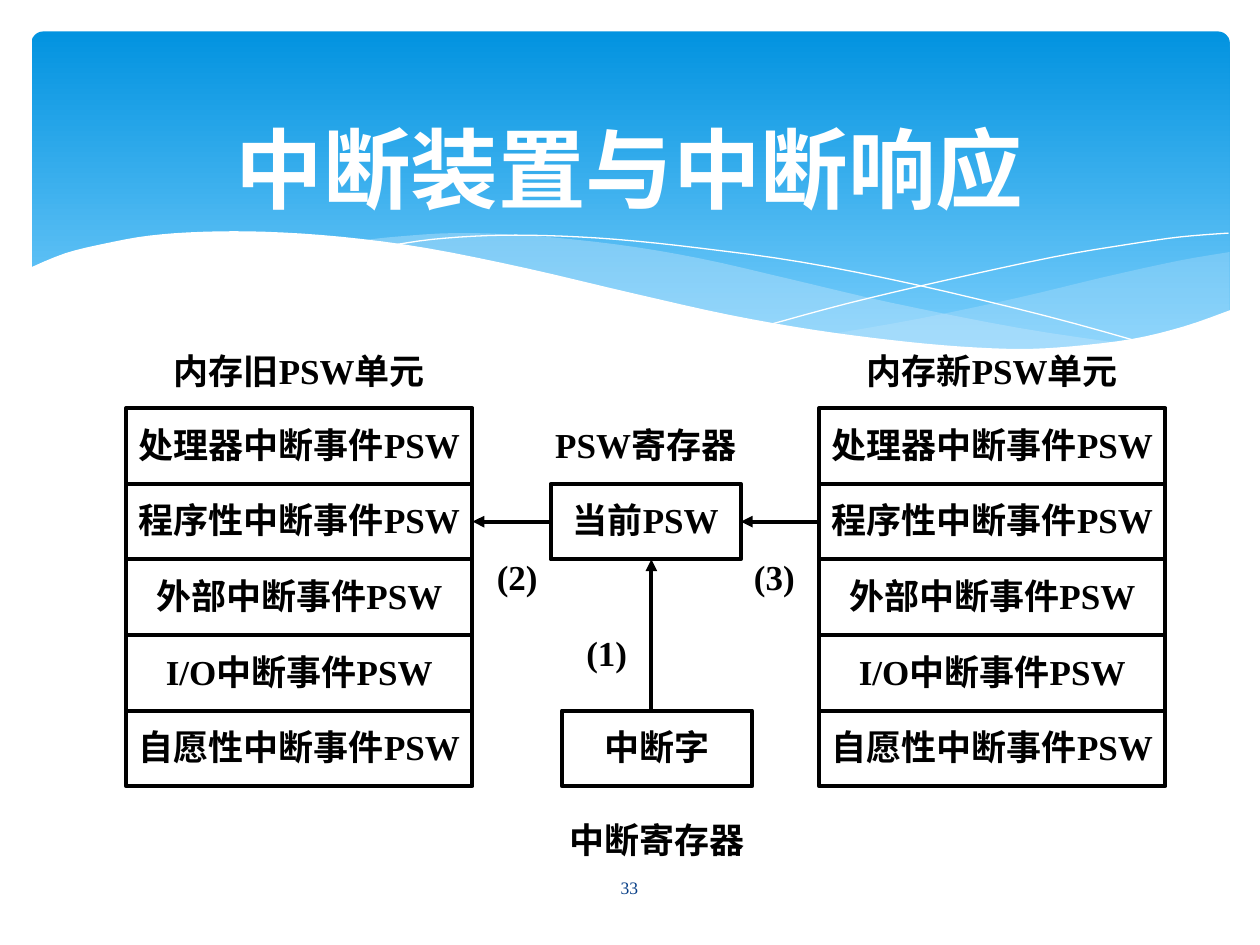
import pptx
import pptx.util
import pptx.dml.color
import pptx.enum.shapes
import pptx.enum.text
import pptx.oxml
from pptx.oxml.ns import qn
from pptx.util import Inches

COLORS = {
    "sky_top": "0293E0", "sky_bottom": "83D3FE", "wave": "C6E7FC",
    "white": "FFFFFF", "ink": "000000", "number": "073E87",
}
RGB = {k: pptx.dml.color.RGBColor.from_string(v) for k, v in COLORS.items()}
RECT = pptx.enum.shapes.MSO_SHAPE.RECTANGLE
CENTER = pptx.enum.text.PP_ALIGN.CENTER
MIDDLE = pptx.enum.text.MSO_ANCHOR.MIDDLE
TOP = pptx.enum.text.MSO_ANCHOR.TOP


def smooth(pts, steps=4):
    """Return points along a Catmull-Rom curve through pts."""
    ends = [pts[0]] + pts + [pts[-1]]
    out = []
    for a, b, c, d in zip(ends, ends[1:], ends[2:], ends[3:]):
        for t in (i / steps for i in range(steps)):
            out.append(tuple(
                0.5 * (2 * q + (r - p) * t + (2 * p - 5 * q + 4 * r - w) * t ** 2
                       + (3 * q - p - 3 * r + w) * t ** 3)
                for p, q, r, w in zip(a, b, c, d)))
    return out + [pts[-1]]


def add_label(x, y, w, text, boxed=False):
    """Add a centred bold caption, with a black outline when boxed."""
    place = Inches(x), Inches(y), Inches(w), Inches(ROW_H)
    if boxed:
        sp = s.shapes.add_shape(RECT, *place)
        sp.shadow.inherit = False
        sp.fill.background()
        sp.line.color.rgb = RGB["ink"]
        sp.line.width = pptx.util.Pt(2.25)
    else:
        sp = s.shapes.add_textbox(*place)
    tf = sp.text_frame
    tf.word_wrap = True
    tf.vertical_anchor = TOP
    tf.margin_left = tf.margin_right = tf.margin_bottom = 0
    tf.margin_top = Inches(0.12)
    tf.text = text
    p = tf.paragraphs[0]
    p.alignment = CENTER
    f = p.runs[0].font
    f.name, f.size, f.bold = "Times New Roman", pptx.util.Pt(20), True
    f.color.rgb = RGB["ink"]


prs = pptx.Presentation()
prs.slide_width, prs.slide_height = Inches(10), Inches(7.5)
s = prs.slides.add_slide(prs.slide_layouts[5])

# Blue banner
sp = s.shapes.add_shape(pptx.enum.shapes.MSO_SHAPE.ROUNDED_RECTANGLE,
                        Inches(0.25), Inches(0.25), Inches(9.51), Inches(2.7))
sp.adjustments[0] = 0.034
sp.shadow.inherit = False
sp.line.fill.background()
sp.fill.gradient()
sp.fill.gradient_angle = 270
for stop, position, name in zip(sp.fill.gradient_stops, (0, 1), ("sky_top", "sky_bottom")):
    stop.position = position
    stop.color.rgb = RGB[name]

# Waves: outline, fill, opacity in percent (no fill means a thin white line)
right_wave = (
    smooth([(9.76, 2), (9.35, 2.07), (8.76, 2.2), (8.05, 2.37), (7.29, 2.53), (6.61, 2.65)])
    + smooth([(6.61, 2.65), (7.05, 2.71), (7.57, 2.76), (8.14, 2.78), (8.72, 2.74),
              (9.21, 2.65), (9.49, 2.57), (9.76, 2.47)]))
middle_wave = (
    smooth([(8.93, 2.73), (8.07, 2.6), (7.06, 2.4), (6.29, 2.22), (5.55, 2.05), (4.89, 1.94),
            (4.2, 1.87), (3.61, 1.85), (3.13, 1.88), (2.86, 1.91)])
    + smooth([(2.86, 1.91), (3.42, 1.99), (4.04, 2.11), (4.91, 2.32), (5.66, 2.48),
              (6.34, 2.61), (6.95, 2.7), (7.48, 2.76), (8.07, 2.79), (8.57, 2.77), (8.93, 2.73)]))
falling_line = smooth([(3.09, 1.95), (3.43, 1.9), (3.87, 1.87), (4.33, 1.87), (4.89, 1.9),
                       (5.56, 1.97), (6.36, 2.08), (7.27, 2.26), (8.31, 2.51), (9.07, 2.72)])
rising_line = smooth([(6.13, 2.57), (6.72, 2.41), (7.48, 2.23), (8.36, 2.04), (8.95, 1.94),
                      (9.37, 1.88), (9.75, 1.85)])
white_wave = smooth([
    (9.77, 2.46), (9.4, 2.59), (8.99, 2.69), (8.5, 2.75), (8.09, 2.77), (7.61, 2.75),
    (7.08, 2.7), (6.47, 2.62), (5.79, 2.5), (5.03, 2.33), (4.18, 2.13), (3.39, 1.97),
    (2.71, 1.88), (2.11, 1.84), (1.61, 1.84), (1.19, 1.87), (0.85, 1.93), (0.52, 2.01),
    (0.23, 2.13)]) + [(0.23, 3.29), (9.77, 3.29)]
for pts, fill, opacity in [(right_wave, "wave", 29), (middle_wave, "wave", 40),
                           (falling_line, None, 100), (rising_line, None, 100),
                           (white_wave, "white", 100)]:
    pts = [(Inches(x), Inches(y)) for x, y in pts]
    fb = s.shapes.build_freeform(*pts[0])
    fb.add_line_segments(pts[1:], close=fill is not None)
    sp = fb.convert_to_shape()
    sp.shadow.inherit = False
    if fill is None:
        sp.fill.background()
        sp.line.color.rgb = RGB["white"]
        sp.line.width = 0
        continue
    sp.line.fill.background()
    sp.fill.solid()
    sp.fill.fore_color.rgb = RGB[fill]
    if opacity < 100:
        clr = sp.element.spPr.find(qn("a:solidFill"))[0]
        clr.append(pptx.oxml.parse_xml(
            f'<a:alpha xmlns:a="{clr.nsmap["a"]}" val="{opacity * 1000}"/>'))

# Title, brought in front of the banner
title = s.shapes.title
title.left, title.top, title.width, title.height = (Inches(v) for v in (0.5, 0.92, 9, 0.82))
title.element.getparent().append(title.element)
tf = title.text_frame
tf.auto_size = pptx.enum.text.MSO_AUTO_SIZE.NONE
tf.vertical_anchor = MIDDLE
tf.text = "中断装置与中断响应"
p = tf.paragraphs[0]
p.alignment = CENTER
f = p.runs[0].font
f.name, f.size, f.bold = "Calibri", pptx.util.Pt(50), True
f.color.rgb = RGB["white"]

# Old and new PSW columns
ROW_H, COL_W, COL_TOP = 0.6, 2.75, 3.24
events = ["处理器中断事件PSW", "程序性中断事件PSW", "外部中断事件PSW",
          "I/O中断事件PSW", "自愿性中断事件PSW"]
for x, heading in [(1, "内存旧PSW单元"), (6.5, "内存新PSW单元")]:
    add_label(x, 2.65, COL_W, heading)
    for i, event in enumerate(events):
        add_label(x, COL_TOP + i * ROW_H, COL_W, event, boxed=True)

# Registers and step numbers
add_label(4.37, 3.24, 1.51, "PSW寄存器")
add_label(4.37, 3.84, 1.51, "当前PSW", boxed=True)
add_label(4.46, 5.64, 1.51, "中断字", boxed=True)
add_label(4.46, 6.38, 1.51, "中断寄存器")
for x, y, step in [(4.64, 4.89, "(1)"), (3.93, 4.29, "(2)"), (5.97, 4.29, "(3)")]:
    add_label(x, y, 0.35, step)

for ends in [(4.37, 4.14, 3.75, 4.14), (6.5, 4.14, 5.88, 4.14), (5.17, 5.63, 5.17, 4.44)]:
    arrow = s.shapes.add_connector(pptx.enum.shapes.MSO_CONNECTOR.STRAIGHT,
                                   *(Inches(v) for v in ends))
    arrow.line.color.rgb = RGB["ink"]
    arrow.line.width = pptx.util.Pt(2.25)
    spPr = arrow.element.spPr
    ns = f'xmlns:a="{spPr.nsmap["a"]}"'
    spPr.find(qn("a:ln")).append(pptx.oxml.parse_xml(f'<a:tailEnd {ns} type="triangle"/>'))
    spPr.append(pptx.oxml.parse_xml(f"<a:effectLst {ns}/>"))

# Page number
sp = s.shapes.add_textbox(Inches(4.36), Inches(6.84), Inches(1.27), Inches(0.4))
tf = sp.text_frame
tf.word_wrap = True
tf.vertical_anchor = MIDDLE
tf.text = "33"
p = tf.paragraphs[0]
p.alignment = CENTER
f = p.runs[0].font
f.name, f.size = "Times New Roman", pptx.util.Pt(10)
f.color.rgb = RGB["number"]

prs.save("out.pptx")
